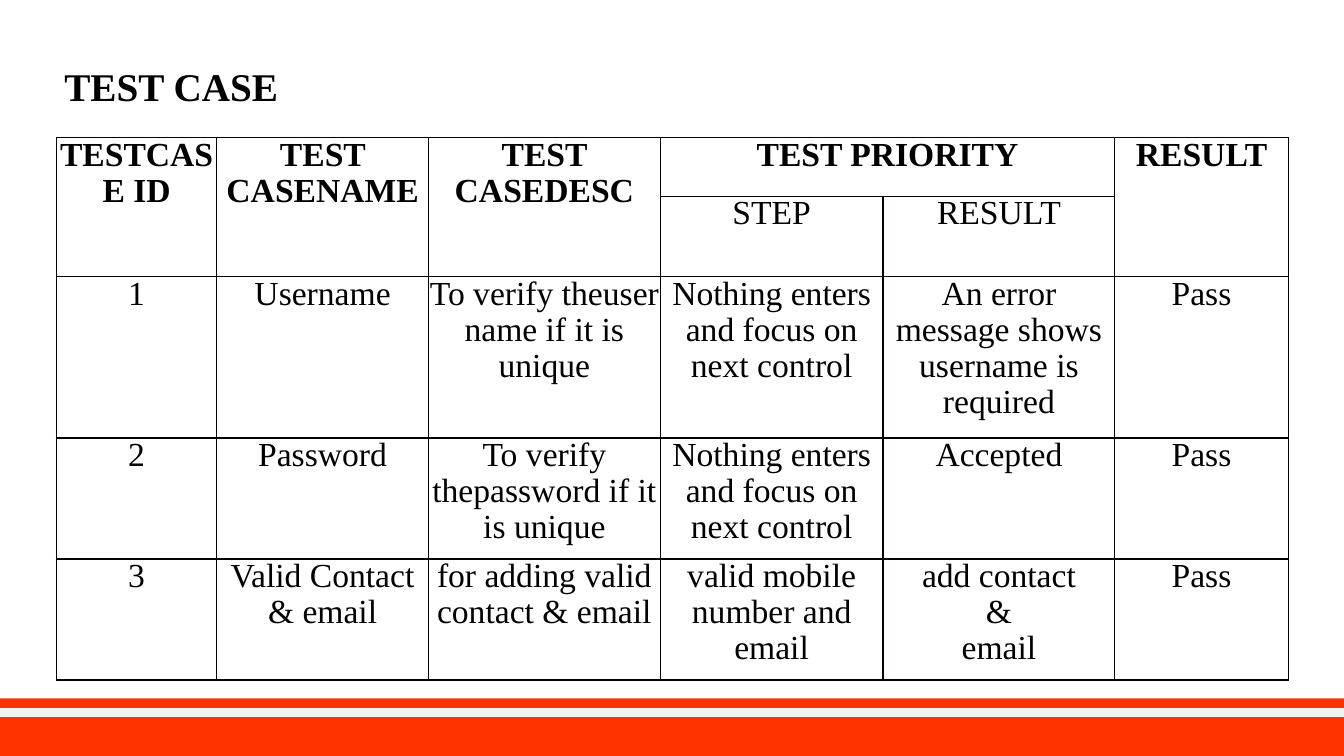
import dataclasses

import pptx
import pptx.dml.color
import pptx.enum.shapes
import pptx.enum.text
import pptx.oxml
import pptx.oxml.ns
import pptx.util

CENTER = pptx.enum.text.PP_ALIGN.CENTER


def rgb(value):
    return pptx.dml.color.RGBColor.from_string(value)


@dataclasses.dataclass(frozen=True)
class Theme:
    font: str = "Times New Roman"
    text: str = "000000"
    border: str = "080000"
    band: str = "FF3300"
    stripe: str = "F2F2F2"
    title_size: float = 28
    cell_size: float = 24
    cell_spacing: float = 0.97
    border_width: float = 1
    stripe_width: float = 6


class SlideBuilder:
    """Draws on one slide; every length is a percentage of the slide's size."""

    def __init__(self, prs, theme):
        self.prs, self.theme = prs, theme
        self.slide = prs.slides.add_slide(prs.slide_layouts[6])

    def x(self, share):
        return round(self.prs.slide_width * share / 100)

    def y(self, share):
        return round(self.prs.slide_height * share / 100)

    def box(self, left, top, width, height):
        return self.x(left), self.y(top), self.x(width), self.y(height)

    def format_run(self, r, size, bold):
        formats = {"name": self.theme.font, "size": pptx.util.Pt(size), "bold": bold}
        for name, value in formats.items():
            setattr(r.font, name, value)
        r.font.color.rgb = rgb(self.theme.text)

    def band(self, *area):
        sp = self.slide.shapes.add_shape(
            pptx.enum.shapes.MSO_SHAPE.RECTANGLE, *self.box(*area))
        sp.shadow.inherit = False
        sp.fill.solid()
        sp.fill.fore_color.rgb = rgb(self.theme.band)
        sp.line.fill.background()

    def stripe(self, left, right, top):
        line = self.slide.shapes.add_connector(
            pptx.enum.shapes.MSO_CONNECTOR.STRAIGHT,
            self.x(left), self.y(top), self.x(right), self.y(top))
        line.line.color.rgb = rgb(self.theme.stripe)
        line.line.width = pptx.util.Pt(self.theme.stripe_width)
        line._element.spPr.append(pptx.oxml.parse_xml(
            f"<a:effectLst {pptx.oxml.ns.nsdecls('a')}/>"))

    def title(self, text, *area):
        tf = self.slide.shapes.add_textbox(*self.box(*area)).text_frame
        tf.word_wrap = True
        r = tf.paragraphs[0].add_run()
        r.text = text
        self.format_run(r, self.theme.title_size, True)

    def border(self, cell):
        tcPr = cell._tc.get_or_add_tcPr()
        width = pptx.util.Pt(self.theme.border_width)
        for side in ("lnL", "lnR", "lnT", "lnB"):
            tcPr.append(pptx.oxml.parse_xml(
                f"<a:{side} {pptx.oxml.ns.nsdecls('a')} w='{width}'><a:solidFill>"
                f"<a:srgbClr val='{self.theme.border}'/></a:solidFill></a:{side}>"))

    def fill_cell(self, cell, text, bold):
        """Write the text with one paragraph for each of its lines."""
        margins = ("margin_left", "margin_right", "margin_top", "margin_bottom")
        for name in margins:
            setattr(cell, name, 0)
        self.border(cell)
        cell.fill.background()
        if text is None:
            return
        tf = cell.text_frame
        for i, line in enumerate(text.split("\n")):
            p = tf.add_paragraph() if i else tf.paragraphs[0]
            p.alignment = CENTER
            p.line_spacing = self.theme.cell_spacing
            r = p.add_run()
            r.text = line
            self.format_run(r, self.theme.cell_size, bold)

    def table(self, left, top, widths, heights, rows, merges):
        area = self.box(left, top, sum(widths), sum(heights))
        table = self.slide.shapes.add_table(len(heights), len(widths), *area).table
        table.first_row = table.horz_banding = False
        for column, width in zip(table.columns, widths):
            column.width = self.x(width)
        for row, height in zip(table.rows, heights):
            row.height = self.y(height)
        for i, texts in enumerate(rows):
            for j, text in enumerate(texts):
                self.fill_cell(table.cell(i, j), text, bold=i == 0)
        for first, last in merges:
            table.cell(*first).merge(table.cell(*last))


COLUMN_WIDTHS = [11.93, 15.75, 17.25, 16.58, 17.25, 12.9]
ROW_HEIGHTS = [7.75, 10.65, 21.35, 16, 16]
FOCUS_STEP = "Nothing enters and focus on next control"
TEST_CASES = [
    ["TESTCASE ID", "TEST CASENAME", "TEST CASEDESC", "TEST PRIORITY", None, "RESULT"],
    [None, None, None, "STEP", "RESULT", None],
    ["1", "Username", "To verify theuser name if it is unique", FOCUS_STEP,
     "An error message shows username is required", "Pass"],
    ["2", "Password", "To verify thepassword if it is unique", FOCUS_STEP,
     "Accepted", "Pass"],
    ["3", "Valid Contact\n& email", "for adding valid\ncontact & email",
     "valid mobile number and email", "add contact\n&\nemail", "Pass"],
]
HEADER_MERGES = [((0, j), (1, j)) for j in (0, 1, 2, 5)] + [((0, 3), (0, 4))]


def main():
    prs = pptx.Presentation()
    prs.slide_width = pptx.util.Inches(13.33)
    prs.slide_height = pptx.util.Inches(7.5)
    s = SlideBuilder(prs, Theme())
    s.band(-0.15, 92.4, 100.2, 7.6)
    s.stripe(-0.15, 100, 94.27)
    s.title("TEST CASE", 4.05, 7.6, 28.9, 7.6)
    s.table(4.2, 18.2, COLUMN_WIDTHS, ROW_HEIGHTS, TEST_CASES, HEADER_MERGES)
    prs.save("out.pptx")


if __name__ == "__main__":
    main()
